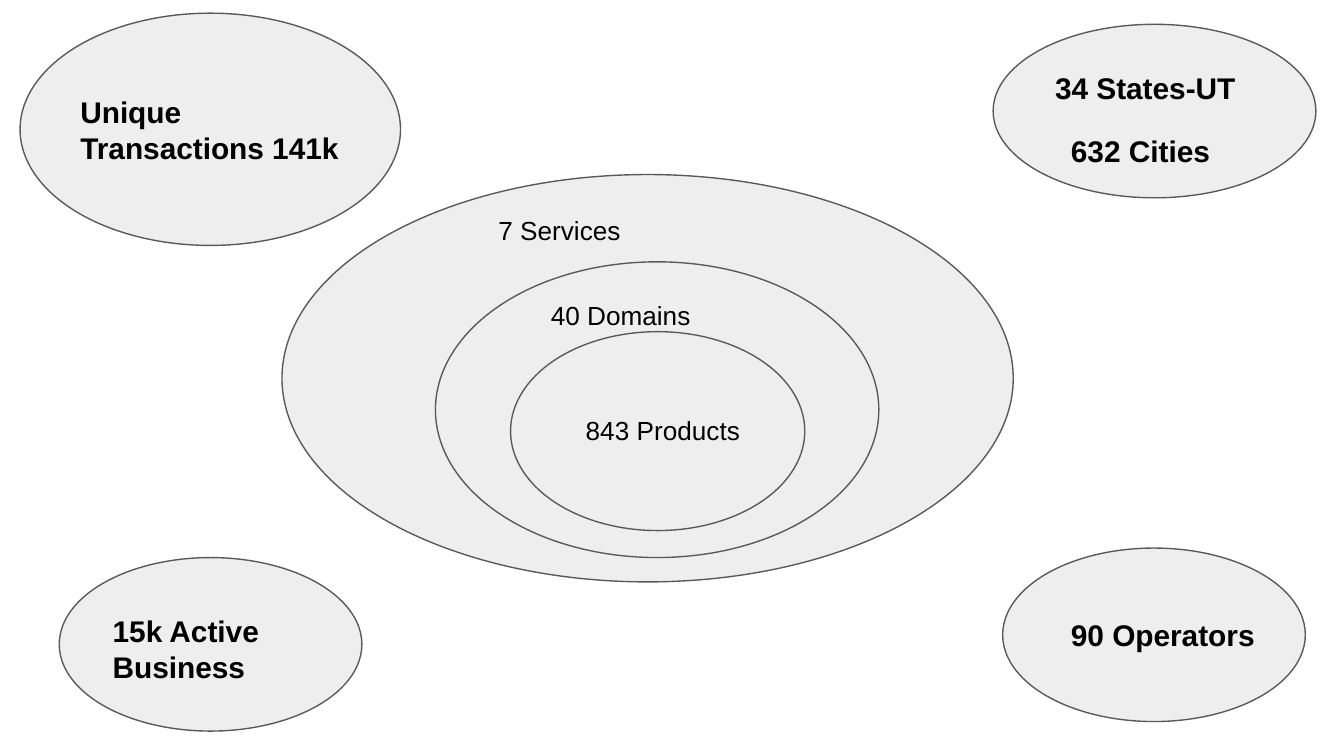
from pptx import Presentation
from pptx.dml.color import RGBColor
from pptx.enum.shapes import MSO_SHAPE
from pptx.enum.text import MSO_AUTO_SIZE
from pptx.util import Cm, Pt

OVAL = MSO_SHAPE.OVAL
GROW = MSO_AUTO_SIZE.SHAPE_TO_FIT_TEXT
FONT = "Arial"
PAD = 0.25

# left, top, width, height in cm, from back to front
RINGS = [
    (5.33, 3.3, 13.82, 7.7),
    (8.23, 4.95, 8.38, 5.59),
    (9.65, 6.27, 5.56, 3.76),
]
LEVELS = [
    ("7 Services", 9.17, 3.81, 3.45, 1.12),
    ("40 Domains", 10.16, 5.41, 3.45, 1.12),
    ("843 Products", 10.82, 7.59, 3.45, 1.12),
]
# each corner: its oval, then its labels
CORNERS = [
    ((0.38, 0.25, 7.19, 4.39),
     [("Unique Transactions 141k", 1.27, 1.52, 5.56, 1.88)]),
    ((18.77, 0.46, 6.1, 3.28),
     [("632 Cities", 19.99, 2.26, 3.45, 1.19),
      ("34 States-UT ", 19.69, 1.07, 4.09, 1.19)]),
    ((1.12, 10.54, 5.72, 3.28),
     [("15k Active Business", 1.88, 11.33, 4.09, 1.88)]),
    ((18.95, 10.36, 5.72, 3.28),
     [("90 Operators", 19.99, 11.4, 4.09, 1.19)]),
]


def color(code):
    """Turn a hex string into a colour."""
    return RGBColor.from_string(code)


def add_oval(slide, box):
    """Draw one grey oval with a thin outline."""
    oval = slide.shapes.add_shape(OVAL, *map(Cm, box))
    oval.shadow.inherit = False
    oval.fill.solid()
    oval.fill.fore_color.rgb = color("EEEEEE")
    oval.line.color.rgb = color("595959")
    oval.line.width = Pt(0.75)


def add_label(slide, text, *box, size, bold=False):
    """Write one label in a wrapping text box."""
    frame = slide.shapes.add_textbox(*map(Cm, box)).text_frame
    frame.word_wrap = True
    frame.auto_size = GROW
    frame.margin_left = frame.margin_right = Cm(PAD)
    frame.margin_top = frame.margin_bottom = Cm(PAD)
    run = frame.paragraphs[0].add_run()
    run.text = text
    run.font.name = FONT
    run.font.size = Pt(size)
    run.font.bold = bold
    run.font.color.rgb = color("000000")


def main():
    """Build the slide and save it."""
    deck = Presentation()
    deck.slide_width = Cm(25.4)
    deck.slide_height = Cm(14.29)
    slide = deck.slides.add_slide(deck.slide_layouts[6])
    for ring in RINGS:
        add_oval(slide, ring)
    for level in LEVELS:
        add_label(slide, *level, size=14)
    for oval, labels in CORNERS:
        add_oval(slide, oval)
        for label in labels:
            add_label(slide, *label, size=16, bold=True)
    deck.save("out.pptx")


main()
